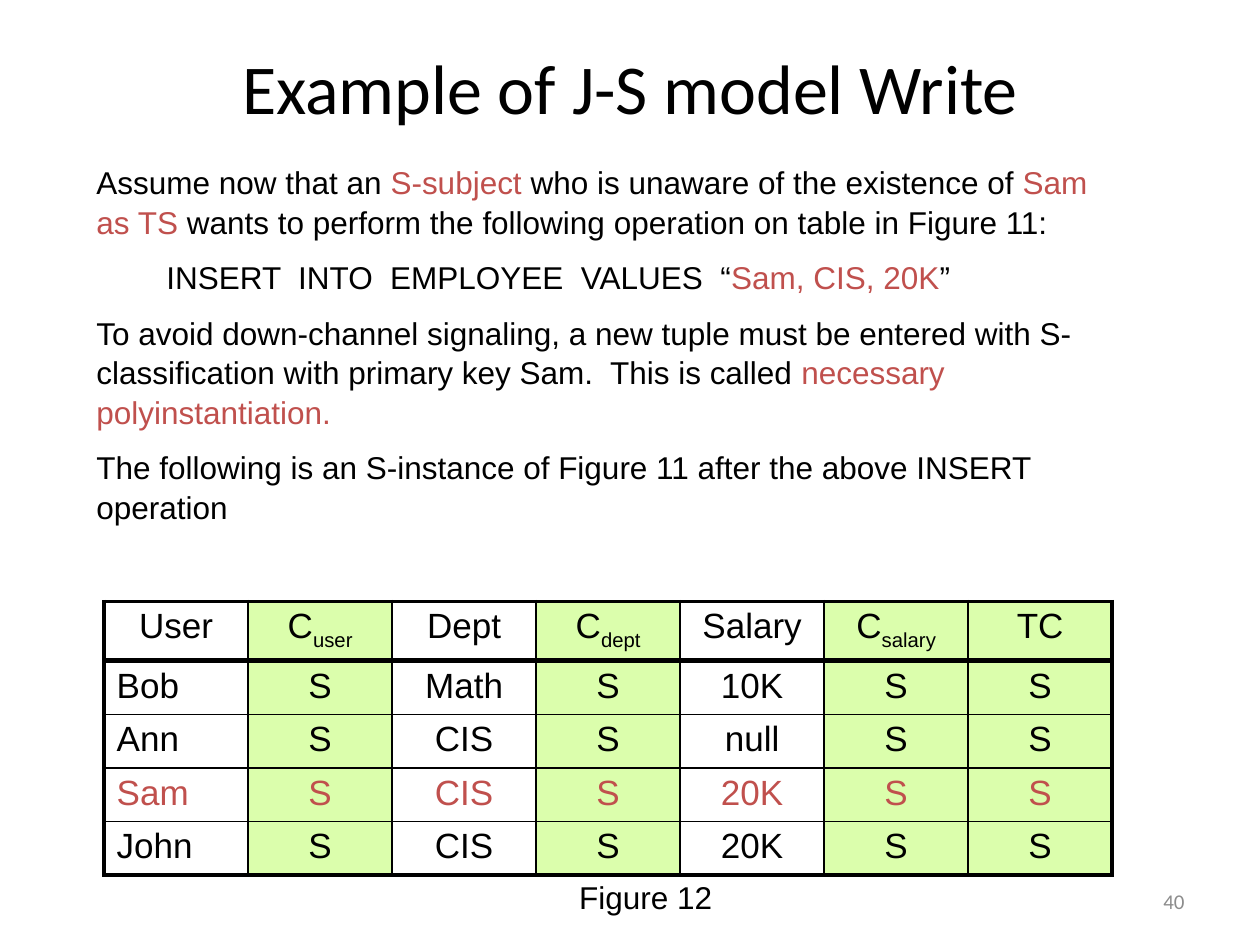
import pptx
import pptx.util
import pptx.dml.color
import pptx.enum.text
import pptx.oxml
import pptx.oxml.ns

Pt = pptx.util.Pt
ALIGN = pptx.enum.text.PP_ALIGN
ANCHOR = pptx.enum.text.MSO_ANCHOR
COLORS = {"black": "000000", "red": "C0504D", "green": "DBFEAC", "gray": "8C8C8C"}

HEADS = [("User", ""), ("C", "user"), ("Dept", ""), ("C", "dept"),
         ("Salary", ""), ("C", "salary"), ("TC", "")]
ROWS = [["Bob", "S", "Math", "S", "10K", "S", "S"],
        ["Ann", "S", "CIS", "S", "null", "S", "S"],
        ["Sam", "S", "CIS", "S", "20K", "S", "S"],
        ["John", "S", "CIS", "S", "20K", "S", "S"]]
SHADED = {1, 3, 5, 6}
BODY = [
    (0, [("Assume now that an ", "black"), ("S-subject", "red"),
         (" who is unaware of the existence of ", "black"), ("Sam as TS", "red"),
         (" wants to perform the following operation on table in Figure 11:", "black")]),
    (40, [("INSERT  INTO  EMPLOYEE  VALUES  “", "black"),
          ("Sam, CIS, 20K", "red"), ("”", "black")]),
    (0, [("To avoid down-channel signaling, a new tuple must be entered with "
          "S-classification with primary key Sam.  This is called ", "black"),
         ("necessary polyinstantiation.", "red")]),
    (0, [("The following is an S-instance of Figure 11 after the above INSERT operation",
          "black")]),
]


def rgb(name):
    return pptx.dml.color.RGBColor.from_string(COLORS[name])


def add_run(para, text, size, color="black", face="Arial"):
    run = para.add_run()
    run.text = text
    run.font.size = Pt(size)
    run.font.name = face
    run.font.color.rgb = rgb(color)
    return run


def add_box(slide, left, top, width, height, anchor=ANCHOR.TOP):
    box = slide.shapes.add_textbox(Pt(left), Pt(top), Pt(width), Pt(height))
    frame = box.text_frame
    frame.word_wrap = True
    frame.vertical_anchor = anchor
    return frame


def add_label(slide, place, text, size, align, anchor, color="black", face="Arial"):
    para = add_box(slide, *place, anchor).paragraphs[0]
    para.alignment = align
    add_run(para, text, size, color, face)


def add_body(slide):
    frame = add_box(slide, 48, 88.5, 600, 213)
    for i, (indent, parts) in enumerate(BODY):
        para = frame.add_paragraph() if i else frame.paragraphs[0]
        para.line_spacing = 1.05
        if i:
            para.space_before = Pt(9)
        if indent:
            para._p.get_or_add_pPr().set("marL", str(Pt(indent)))
        for text, color in parts:
            add_run(para, text, 18, color)


def set_edges(cell, widths):
    props = cell._tc.get_or_add_tcPr()
    for i, (side, width) in enumerate(zip("LRTB", widths)):
        line = pptx.oxml.parse_xml(
            f'<a:ln{side} {pptx.oxml.ns.nsdecls("a")} w="{Pt(width)}">'
            f'<a:solidFill><a:srgbClr val="{COLORS["black"]}"/></a:solidFill>'
            f'</a:ln{side}>')
        props.insert(i, line)


def style_cell(cell, row, col):
    cell.margin_top = cell.margin_bottom = Pt(3.3)
    if col in SHADED:
        cell.fill.solid()
        cell.fill.fore_color.rgb = rgb("green")
    else:
        cell.fill.background()
    left = 2.25 if col == 0 else 1
    right = 2.25 if col == len(HEADS) - 1 else 1
    top = {0: 2.25, 1: 3}.get(row, 1)
    low = {0: 3, len(ROWS): 2.25}.get(row, 1)
    set_edges(cell, (left, right, top, low))


def add_grid(slide):
    count = len(ROWS) + 1
    table = slide.shapes.add_table(count, len(HEADS), Pt(59.5), Pt(343.7),
                                   Pt(576), Pt(151)).table
    table.first_row = table.horz_banding = False
    for col in table.columns:
        col.width = Pt(82.3)
    for r, row in enumerate(table.rows):
        row.height = Pt(29.6 if r else 32.6)
        for c, cell in enumerate(row.cells):
            style_cell(cell, r, c)
            para = cell.text_frame.paragraphs[0]
            para.alignment = ALIGN.LEFT if r and c == 0 else ALIGN.CENTER
            text, sub = (ROWS[r - 1][c], "") if r else HEADS[c]
            add_run(para, text, 20, "red" if r and ROWS[r - 1][0] == "Sam" else "black")
            if sub:
                run = add_run(para, sub, 20)
                run._r.get_or_add_rPr().set("baseline", "-25000")


def main():
    deck = pptx.Presentation()
    deck.slide_width, deck.slide_height = Pt(720), Pt(540)
    slide = deck.slides.add_slide(deck.slide_layouts[6])
    add_label(slide, (36, 21.6, 648, 56.2), "Example of J-S model Write", 40,
              ALIGN.CENTER, ANCHOR.MIDDLE, face="Calibri")
    add_grid(slide)
    add_body(slide)
    add_label(slide, (288, 498.2, 162, 29), "Figure 12", 18, ALIGN.CENTER, ANCHOR.TOP)
    add_label(slide, (516, 500.5, 168, 28.8), "40", 12, ALIGN.RIGHT, ANCHOR.MIDDLE,
              "gray", "Calibri")
    deck.save("out.pptx")


if __name__ == "__main__":
    main()
